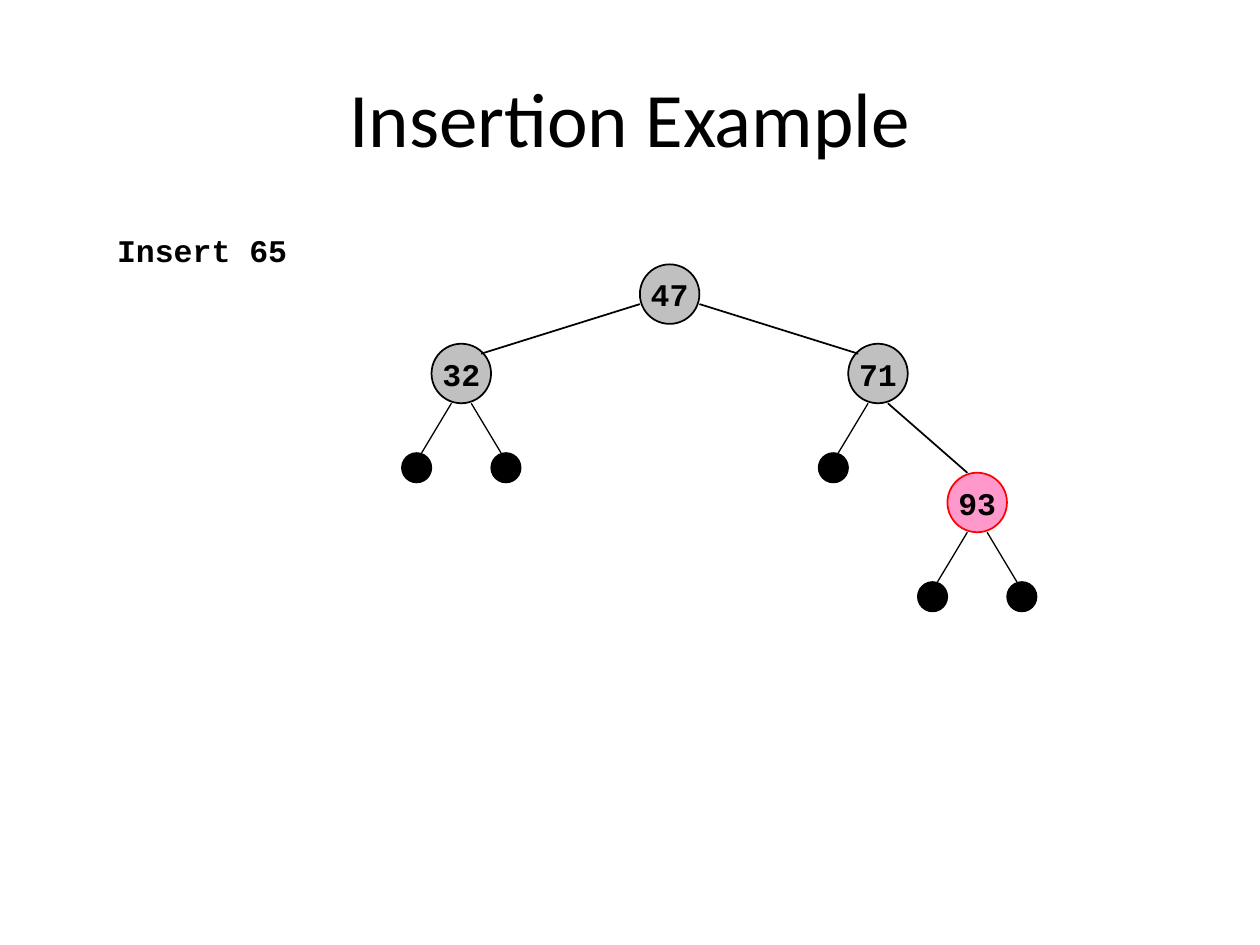
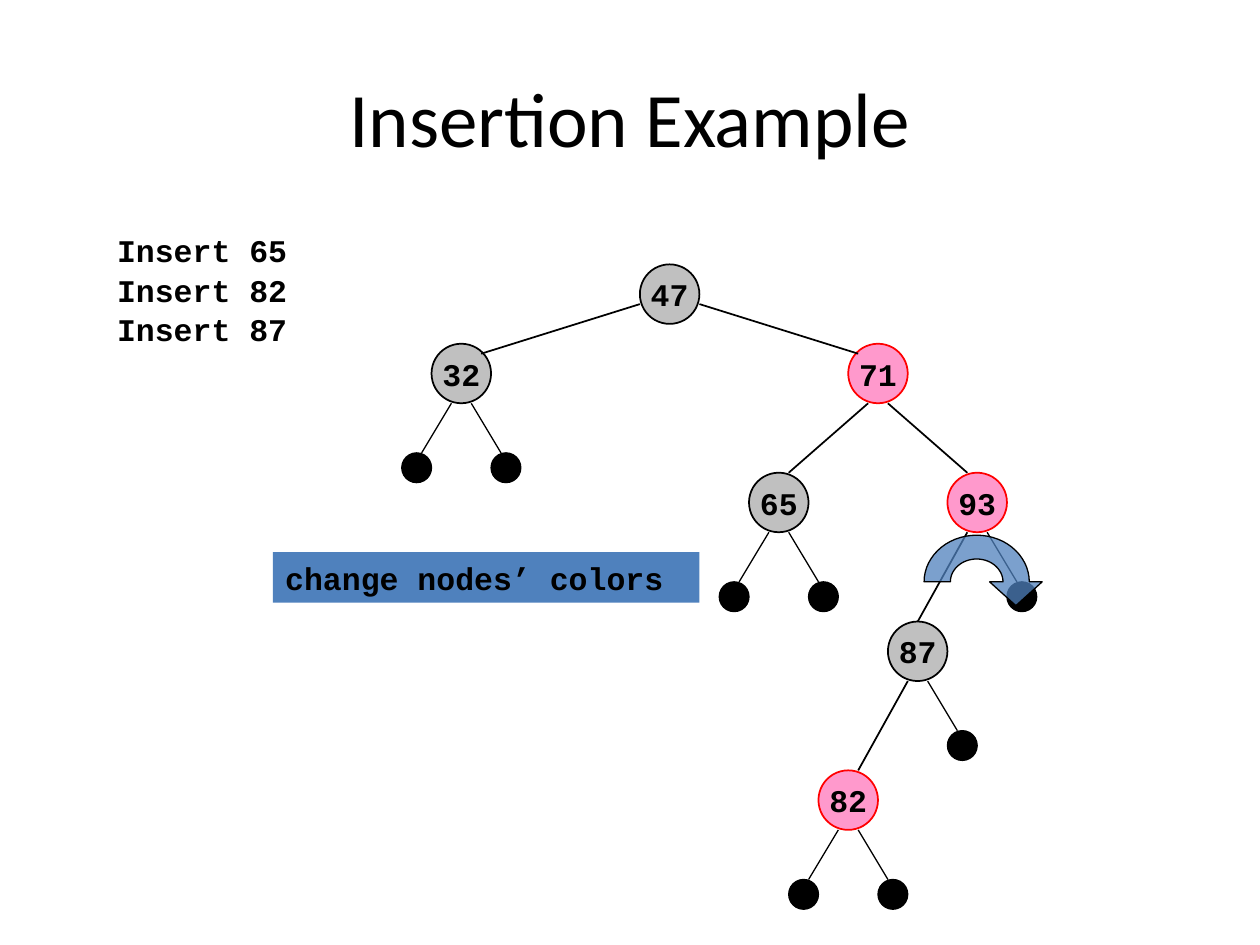
from math import cos, pi, sin

from lxml import etree
from pptx import Presentation
from pptx.dml.color import RGBColor
from pptx.enum.shapes import MSO_CONNECTOR, MSO_SHAPE
from pptx.enum.text import MSO_ANCHOR, PP_ALIGN
from pptx.oxml.ns import qn
from pptx.util import Cm, Pt

# Content: all lengths are centimetres
TITLE = "Insertion Example"
BLACK, GREY, PINK, RED, BLUE = "000000", "C0C0C0", "FF99CC", "FF0000", "4F81BD"
NODE_COLOURS = {"black": (GREY, BLACK), "red": (PINK, RED)}

CENTRES = {  # key: centre of its node
    47: (13.5, 5.93), 32: (9.3, 7.53), 71: (17.7, 7.53), 65: (15.7, 10.13),
    93: (19.7, 10.13), 87: (18.5, 13.13), 82: (17.1, 16.13),
}
NODE_SIZE, LEAF_SIZE = 1.2, 0.6

# Where an edge leaves its parent and meets its child, measured from the centres
STEEP = ((0.2, 0.6), (0.2, -0.6))
FLAT = ((0.6, 0.2), (0.4, -0.4))
STRAIGHT_IN = ((0.2, 0.6), (0, -0.6))
EDGE_ENDS = {(47, 32): FLAT, (47, 71): FLAT, (93, 87): STRAIGHT_IN}

# Each tree: key -> (colour, left child, right child); None is a leaf
STEPS = [
    {
        "inserts": [65],
        "tree": {
            47: ("black", 32, 71), 32: ("black", None, None),
            71: ("black", None, 93), 93: ("red", None, None),
        },
    },
    {
        "inserts": [65, 82, 87],
        "tree": {
            47: ("black", 32, 71), 32: ("black", None, None),
            71: ("red", 65, 93), 65: ("black", None, None),
            93: ("red", 87, None), 87: ("black", 82, None),
            82: ("red", None, None),
        },
        "action": "change nodes’ colors",
        "rotation": (19.69, 11.73),
    },
]


def colour(hex_string):
    return RGBColor.from_string(hex_string)


def paint(shape, fill, outline=None, width=1):
    shape.shadow.inherit = False
    shape.fill.solid()
    shape.fill.fore_color.rgb = colour(fill)
    if outline:
        shape.line.color.rgb = colour(outline)
        shape.line.width = Pt(width)
    else:
        shape.line.fill.background()


def write(shape, text, size=18, font="Courier New", bold=True,
          align=PP_ALIGN.LEFT, anchor=MSO_ANCHOR.TOP, wrap=True, margins=(0.25, 0.13)):
    frame = shape.text_frame
    frame.text = text
    frame.word_wrap = wrap
    frame.vertical_anchor = anchor
    frame.margin_left = frame.margin_right = Cm(margins[0])
    frame.margin_top = frame.margin_bottom = Cm(margins[1])
    paragraph = frame.paragraphs[0]
    paragraph.alignment = align
    style = paragraph.runs[0].font
    style.name, style.size, style.bold = font, Pt(size), bold
    style.color.rgb = colour(BLACK)


def add_box(slide, left, top, width, height):
    return slide.shapes.add_textbox(Cm(left), Cm(top), Cm(width), Cm(height))


def add_circle(slide, x, y, size, fill, outline, width):
    circle = slide.shapes.add_shape(
        MSO_SHAPE.OVAL, Cm(x - size / 2), Cm(y - size / 2), Cm(size), Cm(size))
    paint(circle, fill, outline, width)
    return circle


def add_edge(slide, x1, y1, x2, y2, width):
    edge = slide.shapes.add_connector(
        MSO_CONNECTOR.STRAIGHT, Cm(x1), Cm(y1), Cm(x2), Cm(y2))
    edge.line.color.rgb = colour(BLACK)
    edge.line.width = Pt(width)
    etree.SubElement(edge._element.spPr, qn("a:effectLst"))


def add_node(slide, key, node_colour):
    node = add_circle(slide, *CENTRES[key], NODE_SIZE, *NODE_COLOURS[node_colour], 1)
    write(node, str(key), align=PP_ALIGN.CENTER, anchor=MSO_ANCHOR.MIDDLE,
          wrap=False, margins=(0, 0))


def add_branch(slide, parent, child, side):
    """Draw the edge to a child; side is -1 for left and 1 for right."""
    x, y = CENTRES[parent]
    if child is None:
        add_edge(slide, x + side * 0.2, y + 0.6, x + side * 0.8, y + 1.6, 0.75)
        add_circle(slide, x + side * 0.9, y + 1.9, LEAF_SIZE, BLACK, BLACK, 0.75)
        return
    (out_x, out_y), (in_x, in_y) = EDGE_ENDS.get((parent, child), STEEP)
    child_x, child_y = CENTRES[child]
    add_edge(slide, x + side * out_x, y + out_y,
             child_x - side * in_x, child_y + in_y, 1)


def add_tree(slide, tree):
    for key, (node_colour, _, _) in tree.items():
        add_node(slide, key, node_colour)
    for key, (_, left, right) in tree.items():
        add_branch(slide, key, left, -1)
        add_branch(slide, key, right, 1)


def add_rotation_arrow(slide, x, y, steps=30):
    angles = [pi * i / steps for i in range(steps + 1)]
    inner = [(0.53 * cos(a), -0.46 * sin(a)) for a in angles]
    outer = [(1.06 * cos(a), -0.94 * sin(a)) for a in reversed(angles)]
    head = [(1.32, 0), (0.79, 0.48), (0.26, 0)]
    outline = [(Cm(x + dx), Cm(y + dy)) for dx, dy in inner + outer + head]
    builder = slide.shapes.build_freeform(*outline[0])
    builder.add_line_segments(outline[1:], close=True)
    arrow = builder.convert_to_shape()
    paint(arrow, BLUE, BLACK, 0.75)
    fill = arrow._element.spPr.find(qn("a:solidFill"))
    etree.SubElement(fill[0], qn("a:alpha"), val="75000")


def add_step(deck, step):
    slide = deck.slides.add_slide(deck.slide_layouts[6])
    # Title and list of insertions
    write(add_box(slide, 1.27, 0.76, 22.86, 3.18), TITLE, 44, "Calibri", False,
          PP_ALIGN.CENTER, MSO_ANCHOR.MIDDLE)
    for row, key in enumerate(step["inserts"]):
        write(add_box(slide, 2.11, 4.53 + 0.8 * row, 6.6, 1.02), f"Insert {key}")
    # Tree, then what happens to it
    add_tree(slide, step["tree"])
    if "action" in step:
        action = slide.shapes.add_shape(
            MSO_SHAPE.RECTANGLE, Cm(5.5), Cm(11.13), Cm(8.6), Cm(1.02))
        paint(action, BLUE)
        write(action, step["action"])
    if "rotation" in step:
        add_rotation_arrow(slide, *step["rotation"])


def main():
    deck = Presentation()
    deck.slide_width, deck.slide_height = Cm(25.4), Cm(19.05)
    for step in STEPS:
        add_step(deck, step)
    deck.save("out.pptx")


if __name__ == "__main__":
    main()
